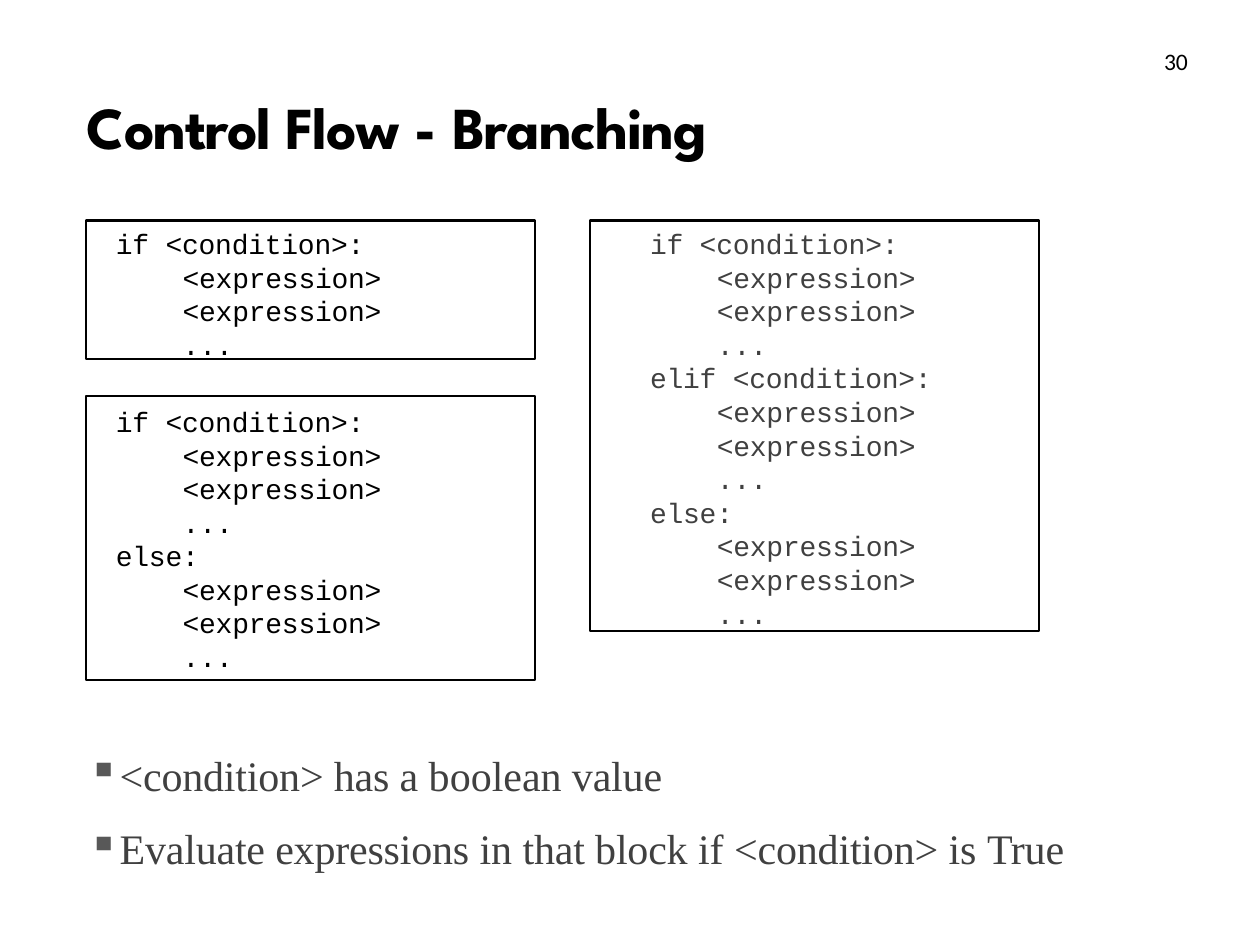
import pptx
import pptx.dml.color
import pptx.enum.shapes
import pptx.enum.text
import pptx.oxml
import pptx.oxml.ns
import pptx.util

Inches = pptx.util.Inches
Pt = pptx.util.Pt
RGBColor = pptx.dml.color.RGBColor
ANCHOR = pptx.enum.text.MSO_ANCHOR

BLACK = RGBColor(0x00, 0x00, 0x00)
DARK_GRAY = RGBColor(0x40, 0x40, 0x40)
BULLET_GRAY = RGBColor(0x58, 0x58, 0x58)

BLOCK = ["<expression>", "<expression>", "..."]
BLOCK_INDENT = 0.53


def set_frame(box, top_inset, anchor=ANCHOR.TOP):
    frame = box.text_frame
    frame.word_wrap = True
    frame.vertical_anchor = anchor
    frame.margin_left = frame.margin_right = frame.margin_bottom = 0
    frame.margin_top = Inches(top_inset)
    return frame


def next_paragraph(frame, index):
    return frame.add_paragraph() if index else frame.paragraphs[0]


def set_indent(para, left, first=0):
    properties = para._p.get_or_add_pPr()
    properties.set("marL", str(Inches(left)))
    properties.set("indent", str(Inches(first)))
    return properties


def add_span(para, text, font, size, color, spacing=0, bold=False):
    span = para.add_run()
    span.text = text
    span.font.name = font
    span.font.size = Pt(size)
    span.font.color.rgb = color
    span.font.bold = bold
    span._r.get_or_add_rPr().set("spc", str(round(spacing * 100)))


def add_title(page, left, top, width, height):
    box = page.shapes.add_textbox(Inches(left), Inches(top), Inches(width), Inches(height))
    para = set_frame(box, 0.01, ANCHOR.MIDDLE).paragraphs[0]
    set_indent(para, 0.01)
    for text, spacing in [("Control Flow ", -0.6), ("- ", 0), ("Branching", -0.5)]:
        add_span(para, text, "League Spartan", 34, BLACK, spacing, bold=True)


def add_page_number(page, left, top, width, height):
    box = page.shapes.add_textbox(Inches(left), Inches(top), Inches(width), Inches(height))
    box.text_frame.word_wrap = True
    add_span(box.text_frame.paragraphs[0], "30", "Calibri", 13.5, BLACK)


def add_code_box(page, left, top, width, height, headers, indent, top_inset, color):
    box = page.shapes.add_shape(
        pptx.enum.shapes.MSO_SHAPE.RECTANGLE,
        Inches(left), Inches(top), Inches(width), Inches(height))
    box.shadow.inherit = False
    box.fill.background()
    box.line.color.rgb = BLACK
    box.line.width = Pt(1.25)
    frame = set_frame(box, top_inset)
    # Each branch is a header line followed by an indented block
    lines = [line for header in headers for line in [header] + BLOCK]
    for index, text in enumerate(lines):
        para = next_paragraph(frame, index)
        para.alignment = pptx.enum.text.PP_ALIGN.LEFT
        para.line_spacing = Pt(19.2)
        set_indent(para, indent + (BLOCK_INDENT if text in BLOCK else 0))
        add_span(para, text, "Courier New", 16, color, 0 if text == "..." else -0.1)


def add_bullet(para):
    properties = set_indent(para, 0.24, -0.23)
    namespace = pptx.oxml.ns.nsdecls("a")
    for xml in (
        f'<a:buClr {namespace}><a:srgbClr val="{BULLET_GRAY}"/></a:buClr>',
        f'<a:buChar {namespace} char="▪"/>',
        f'<a:tabLst {namespace}><a:tab pos="{Inches(0.24)}" algn="l"/></a:tabLst>',
    ):
        properties.append(pptx.oxml.parse_xml(xml))


def add_notes_list(page, left, top, width, height):
    box = page.shapes.add_textbox(Inches(left), Inches(top), Inches(width), Inches(height))
    frame = set_frame(box, 0.2)
    items = [
        [("<condition> has ", -0.1), ("a boolean", 0), (" value", -0.1)],
        [("Evaluate expressions ", -0.1), ("in ", 0), ("that block ", -0.1), ("if ", 0),
         ("<condition> ", -0.1), ("is ", 0), ("True", -0.1)],
    ]
    for index, spans in enumerate(items):
        para = next_paragraph(frame, index)
        add_bullet(para)
        if index:
            para.space_before = Pt(13)
        for text, spacing in spans:
            add_span(para, text, "Times New Roman", 24, DARK_GRAY, spacing)


def main():
    deck = pptx.Presentation()
    deck.slide_width = Inches(10)
    deck.slide_height = Inches(7.5)
    page = deck.slides.add_slide(deck.slide_layouts[6])

    # Heading and page number
    add_title(page, 0.68, 0.7, 8, 0.59)
    add_page_number(page, 9.14, 0.32, 0.86, 0.84)

    # Three forms of branching
    first, middle, last = "if <condition>:", "elif <condition>:", "else:"
    add_code_box(page, 0.68, 1.75, 3.57, 1.1, [first], 0.24, 0.05, BLACK)
    add_code_box(page, 0.68, 3.14, 3.57, 2.26, [first, last], 0.24, 0.07, BLACK)
    add_code_box(page, 4.68, 1.75, 3.57, 3.26, [first, middle, last], 0.48, 0.05, DARK_GRAY)

    # Explanation
    add_notes_list(page, 0.69, 5.75, 8.62, 1.15)
    deck.save("out.pptx")


if __name__ == "__main__":
    main()
